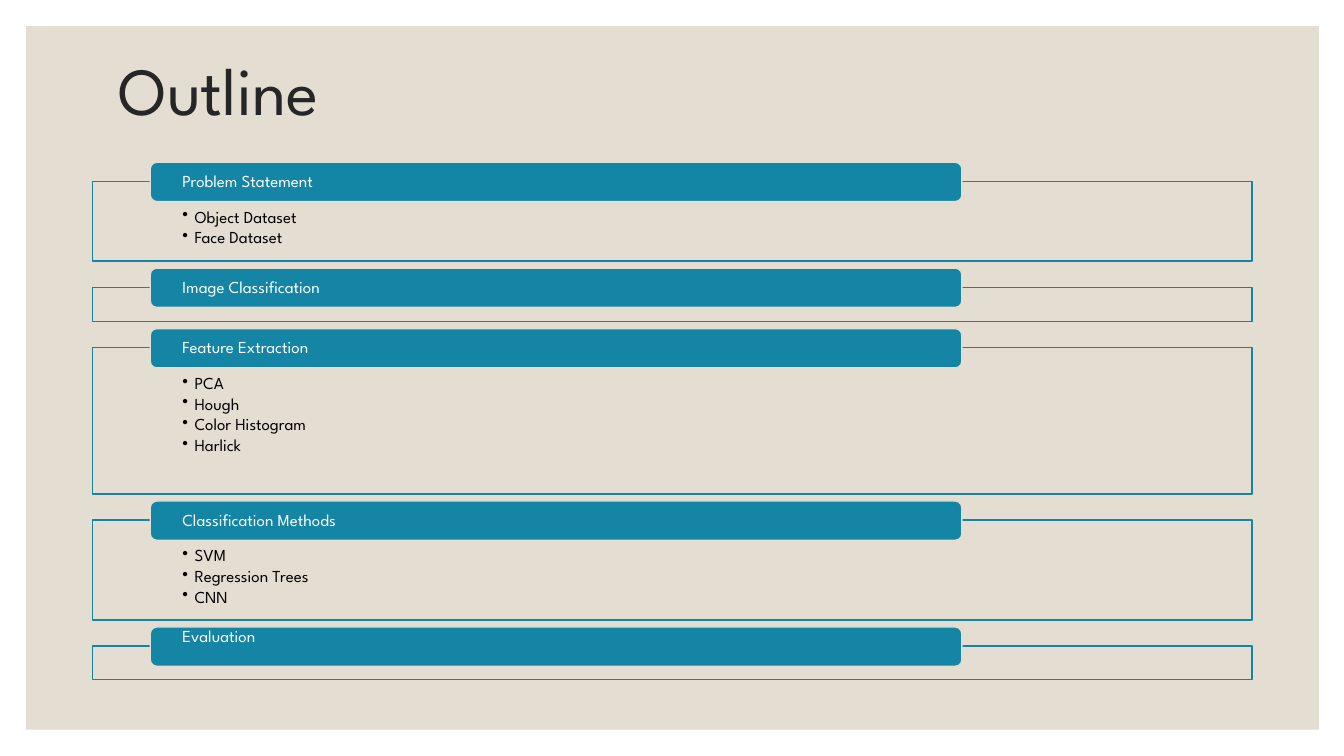
"""Build the outline slide: a title above five headed panels."""
from lxml import etree
from pptx import Presentation, util as u
from pptx.dml.color import RGBColor
from pptx.enum import shapes, text
from pptx.oxml.ns import qn

PX = 9144
FONT = "League Spartan"
COLOURS = {"sand": "E3DED1", "teal": "1485A4", "ink": "262626", "black": "000000", "white": "FFFFFF"}
SECTIONS = [
    ("Problem Statement", ["Object Dataset", "Face Dataset"], 79),
    ("Image Classification", [], 34),
    ("Feature Extraction", ["PCA", "Hough", "Color Histogram", "Harlick"], 145),
    ("Classification Methods", ["SVM", "Regression Trees", "CNN"], 99),
    ("Evaluation", [], 33),
]
FIRST_TOP = 180
GAP = 26
BAR_RISE = 19


def rgb(name):
    """Return a named colour."""
    return RGBColor.from_string(COLOURS[name])


def add_box(slide, kind, box, fill, line=None):
    """Add a flat filled shape with an optional one-point outline."""
    shape = slide.shapes.add_shape(kind, *(n * PX for n in box))
    shape.shadow.inherit = False
    shape.fill.solid()
    shape.fill.fore_color.rgb = rgb(fill)
    if line:
        shape.line.color.rgb = rgb(line)
        shape.line.width = u.Pt(1)
    else:
        shape.line.fill.background()
    return shape


def set_frame(frame, insets, anchor):
    """Set wrapping, insets (left, top, right, bottom) and anchor."""
    frame.word_wrap = True
    frame.vertical_anchor = anchor
    frame.margin_left, frame.margin_top, frame.margin_right, frame.margin_bottom = (n * PX for n in insets)


def style(paragraph, size, colour, after=0):
    """Format a left-aligned paragraph and its runs."""
    paragraph.alignment = text.PP_ALIGN.LEFT
    paragraph.line_spacing = 0.9
    paragraph.space_before = u.Pt(0)
    paragraph.space_after = u.Pt(after)
    for run in paragraph.runs:
        run.font.name = FONT
        run.font.size = u.Pt(size)
        run.font.color.rgb = rgb(colour)


def add_bullet(paragraph):
    """Give a paragraph a hanging round bullet."""
    props = paragraph._p.get_or_add_pPr()
    props.set("marL", str(12 * PX))
    props.set("indent", str(-12 * PX))
    etree.SubElement(props, qn("a:buChar"), char="•")


def add_title(slide, wording):
    """Add the slide title."""
    title = slide.shapes.add_textbox(*(n * PX for n in (108, 18, 1100, 150)))
    set_frame(title.text_frame, (10, 5, 10, 5), text.MSO_ANCHOR.MIDDLE)
    title.text_frame.text = wording
    style(title.text_frame.paragraphs[0], 48, "ink")


def add_panel(slide, top, height, topics):
    """Add an outlined panel listing its topics."""
    panel = add_box(slide, shapes.MSO_SHAPE.RECTANGLE, (92, top, 1150, height), "sand", "teal")
    tint = panel.fill._xPr.find(".//" + qn("a:srgbClr"))
    etree.SubElement(tint, qn("a:alpha"), val="90000")
    if topics:
        frame = panel.text_frame
        set_frame(frame, (89, 27, 89, 9), text.MSO_ANCHOR.TOP)
        frame.text = "\n".join(topics)
        for paragraph in frame.paragraphs:
            add_bullet(paragraph)
            style(paragraph, 12, "black", 1.8)


def add_heading(slide, top, wording, lift):
    """Add a rounded heading bar, raising its text by lift."""
    bar = add_box(slide, shapes.MSO_SHAPE.ROUNDED_RECTANGLE, (149, top, 805, 39), "teal", "sand")
    set_frame(bar.text_frame, (30, 0, 30, 2 * lift), text.MSO_ANCHOR.MIDDLE)
    bar.text_frame.text = wording
    style(bar.text_frame.paragraphs[0], 12, "white")


def main():
    """Build and save the slide."""
    deck = Presentation()
    deck.slide_width, deck.slide_height = u.Inches(13.33), u.Inches(7.5)
    slide = deck.slides.add_slide(deck.slide_layouts[6])
    add_box(slide, shapes.MSO_SHAPE.RECTANGLE, (26, 26, 1282, 698), "sand")
    add_title(slide, "Outline")
    top = FIRST_TOP
    for heading, topics, height in SECTIONS:
        add_panel(slide, top, height, topics)
        add_heading(slide, top - BAR_RISE, heading, 10 if heading == "Evaluation" else 0)
        top += height + GAP
    deck.save("out.pptx")


if __name__ == "__main__":
    main()
